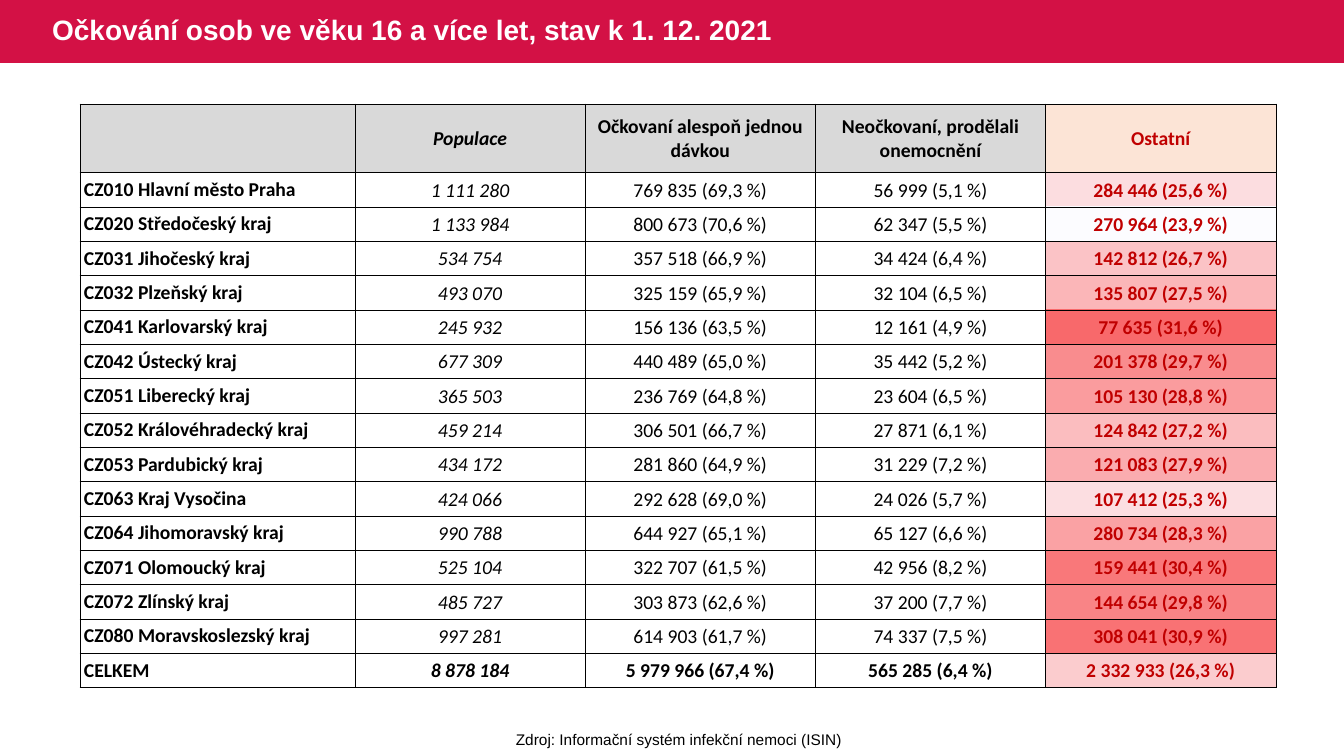
from pptx import Presentation
from pptx.dml.color import RGBColor
from pptx.enum.shapes import MSO_SHAPE as Shape
from pptx.enum.text import MSO_ANCHOR as Anchor, MSO_AUTO_SIZE as AutoSize, PP_ALIGN as Align
from pptx.oxml import parse_xml
from pptx.oxml.ns import nsdecls, qn
from pptx.util import Pt

COLORS = {
    "crimson": "D31145",
    "white": "FFFFFF",
    "black": "000000",
    "gray": "D9D9D9",
    "peach": "FCE4D6",
    "red": "C00000",
}
PLAIN_TABLE = "{2D5ABB26-0587-4C30-8999-92F81FD0307C}"

HEADINGS = ["", "Populace", "Očkovaní alespoň jednou dávkou", "Neočkovaní, prodělali onemocnění", "Ostatní"]

REGIONS = [
    ("CZ010 Hlavní město Praha", "1 111 280", "769 835 (69,3 %)", "56 999 (5,1 %)", "284 446 (25,6 %)", "FCDDE0"),
    ("CZ020 Středočeský kraj", "1 133 984", "800 673 (70,6 %)", "62 347 (5,5 %)", "270 964 (23,9 %)", "FCFCFF"),
    ("CZ031 Jihočeský kraj", "534 754", "357 518 (66,9 %)", "34 424 (6,4 %)", "142 812 (26,7 %)", "FBC3C6"),
    ("CZ032 Plzeňský kraj", "493 070", "325 159 (65,9 %)", "32 104 (6,5 %)", "135 807 (27,5 %)", "FBB6B8"),
    ("CZ041 Karlovarský kraj", "245 932", "156 136 (63,5 %)", "12 161 (4,9 %)", "77 635 (31,6 %)", "F8696B"),
    ("CZ042 Ústecký kraj", "677 309", "440 489 (65,0 %)", "35 442 (5,2 %)", "201 378 (29,7 %)", "F98C8E"),
    ("CZ051 Liberecký kraj", "365 503", "236 769 (64,8 %)", "23 604 (6,5 %)", "105 130 (28,8 %)", "FA9C9E"),
    ("CZ052 Královéhradecký kraj", "459 214", "306 501 (66,7 %)", "27 871 (6,1 %)", "124 842 (27,2 %)", "FBBDBF"),
    ("CZ053 Pardubický kraj", "434 172", "281 860 (64,9 %)", "31 229 (7,2 %)", "121 083 (27,9 %)", "FAACAF"),
    ("CZ063 Kraj Vysočina", "424 066", "292 628 (69,0 %)", "24 026 (5,7 %)", "107 412 (25,3 %)", "FCDEE1"),
    ("CZ064 Jihomoravský kraj", "990 788", "644 927 (65,1 %)", "65 127 (6,6 %)", "280 734 (28,3 %)", "FAA2A4"),
    ("CZ071 Olomoucký kraj", "525 104", "322 707 (61,5 %)", "42 956 (8,2 %)", "159 441 (30,4 %)", "F9787A"),
    ("CZ072 Zlínský kraj", "485 727", "303 873 (62,6 %)", "37 200 (7,7 %)", "144 654 (29,8 %)", "F98486"),
    ("CZ080 Moravskoslezský kraj", "997 281", "614 903 (61,7 %)", "74 337 (7,5 %)", "308 041 (30,9 %)", "F97274"),
    ("CELKEM", "8 878 184", "5 979 966 (67,4 %)", "565 285 (6,4 %)", "2 332 933 (26,3 %)", "FBCCCE"),
]


def px(length):
    return round(length * 914400 / 100.8)


def write(frame, text, size=14, font="Calibri", color="black", bold=False, italic=False,
          align=Align.CENTER, spacing=None):
    paragraph = frame.paragraphs[0]
    paragraph.alignment = align
    paragraph.line_spacing = spacing
    run = paragraph.add_run()
    run.text = text
    run.font.size = Pt(size)
    run.font.name = font
    run.font.bold = bold
    run.font.italic = italic
    run.font.color.rgb = RGBColor.from_string(COLORS[color])


class VaccinationSlide:
    def __init__(self, deck):
        self.slide = deck.slides.add_slide(deck.slide_layouts[5])
        self.shapes = self.slide.shapes

    def band(self, left, top, width, height, color):
        band = self.shapes.add_shape(Shape.RECTANGLE, px(left), px(top), px(width), px(height))
        band.shadow.inherit = False
        band.fill.solid()
        band.fill.fore_color.rgb = RGBColor.from_string(COLORS[color])
        band.line.fill.background()
        self.shapes._spTree.insert(2, band._element)

    def title(self, text, left, top, width, height):
        title = self.shapes.title
        title.left, title.top, title.width, title.height = map(px, (left, top, width, height))
        title.text_frame.auto_size = AutoSize.NONE
        title.text_frame.vertical_anchor = Anchor.MIDDLE
        write(title.text_frame, text, size=20, font="Arial", color="white", bold=True,
              align=Align.LEFT, spacing=0.9)

    def source(self, text, left, top, width, height):
        source = self.shapes.add_textbox(px(left), px(top), px(width), px(height))
        source.text_frame.word_wrap = False
        source.text_frame.auto_size = AutoSize.SHAPE_TO_FIT_TEXT
        write(source.text_frame, text, size=11, font="Arial")

    def table(self, left, top, width, height, rows, columns):
        table = self.shapes.add_table(rows, columns, px(left), px(top), px(width), px(height)).table
        table.first_row = table.horz_banding = False
        table._tbl.tblPr.find(qn("a:tableStyleId")).text = PLAIN_TABLE
        return table

    def cell(self, cell, text="", fill=None, inset=(1, 1), bordered=True, **style):
        side, top = inset
        cell.margin_left = cell.margin_right = px(side)
        cell.margin_top, cell.margin_bottom = px(top), 0
        cell.vertical_anchor = Anchor.MIDDLE
        properties = cell._tc.get_or_add_tcPr()
        for edge in ("lnL", "lnR", "lnT", "lnB") if bordered else ():
            properties.append(parse_xml(
                f'<a:{edge} {nsdecls("a")} w="{Pt(0.5)}"><a:solidFill>'
                f'<a:srgbClr val="{COLORS["black"]}"/></a:solidFill></a:{edge}>'))
        if fill:
            cell.fill.solid()
            cell.fill.fore_color.rgb = RGBColor.from_string(fill)
        else:
            cell.fill.background()
        if text:
            write(cell.text_frame, text, **style)

    def shades(self, left, top, width, height):
        table = self.table(left, top, width, height, len(REGIONS), 1)
        for row, (*_, shade) in enumerate(REGIONS):
            table.rows[row].height = px(height) // len(REGIONS)
            self.cell(table.cell(row, 0), fill=shade, inset=(0, 0), bordered=False)

    def regions(self, left, top, width, height, label_width):
        table = self.table(left, top, width, height, len(REGIONS) + 1, len(HEADINGS))
        row_height = px(height) // (len(REGIONS) + 2)
        for index, row in enumerate(table.rows):
            row.height = row_height * (2 if index == 0 else 1)
        for index, column in enumerate(table.columns):
            column.width = px(label_width) if index == 0 else px(width - label_width) // (len(HEADINGS) - 1)

        for column, heading in enumerate(HEADINGS):
            others = heading == "Ostatní"
            self.cell(table.cell(0, column), heading, fill=COLORS["peach" if others else "gray"],
                      inset=(4, 0), color="red" if others else "black", bold=True,
                      italic=heading == "Populace")
        for row, (region, population, vaccinated, recovered, others, _) in enumerate(REGIONS, 1):
            total = region == "CELKEM"
            self.cell(table.cell(row, 0), region, inset=(4, 0), bold=True, align=Align.LEFT)
            self.cell(table.cell(row, 1), population, bold=total, italic=True)
            self.cell(table.cell(row, 2), vaccinated, bold=total)
            self.cell(table.cell(row, 3), recovered, bold=total)
            self.cell(table.cell(row, 4), others, color="red", bold=True)


def main():
    deck = Presentation()
    deck.slide_width, deck.slide_height = px(1344), px(756)
    page = VaccinationSlide(deck)
    page.band(0, 0, 1344, 63, "crimson")
    page.title("Očkování osob ve věku 16 a více let, stav k 1. 12. 2021", 42, 0, 835, 63)
    page.shades(1046, 172, 230, 516)
    page.regions(80, 104, 1196, 584, label_width=275)
    page.source("Zdroj: Informační systém infekční nemoci (ISIN)", 505, 725, 348, 29)
    deck.save("out.pptx")


if __name__ == "__main__":
    main()
